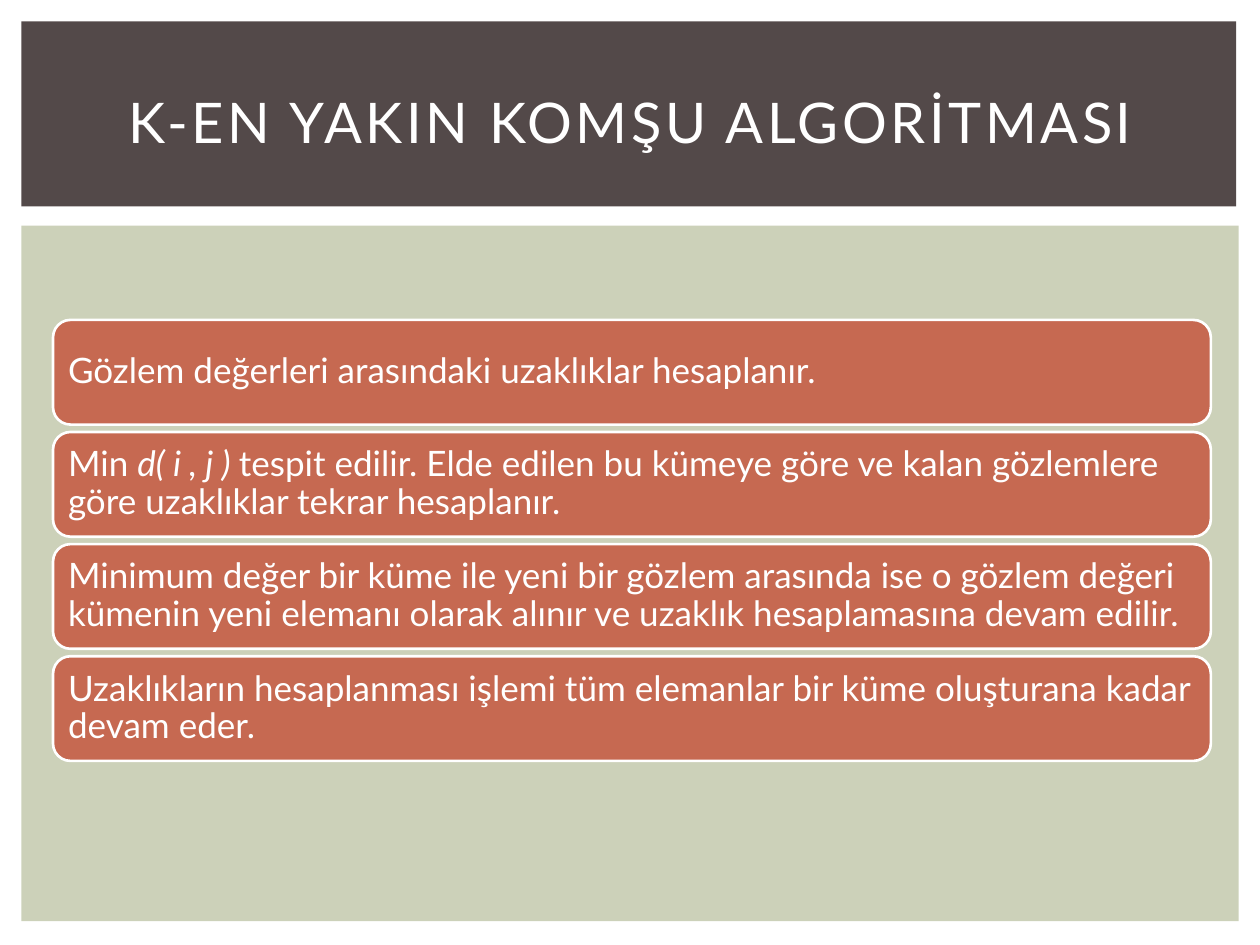
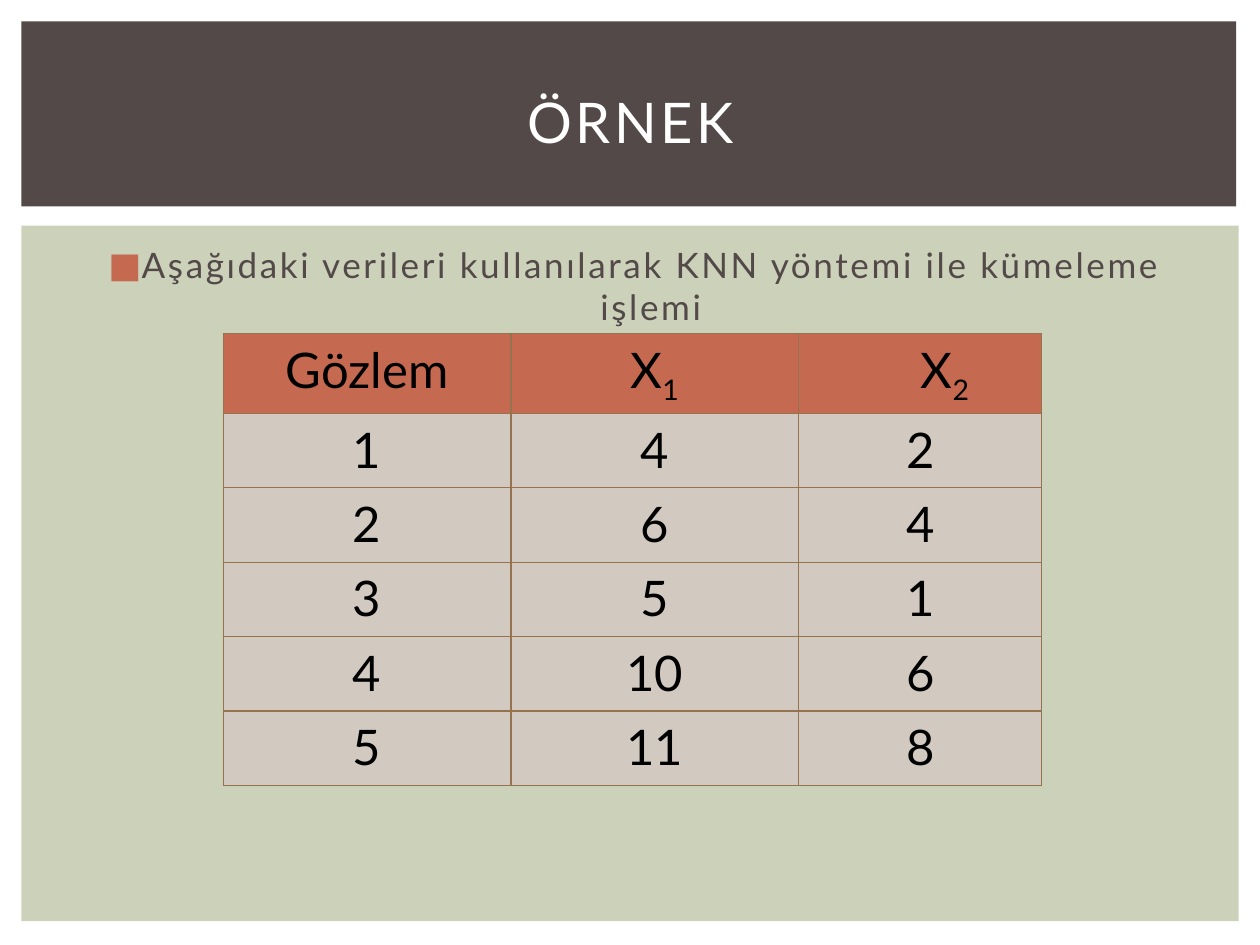
import pptx
import pptx.util
import pptx.dml.color
import pptx.enum.shapes
import pptx.enum.text
import pptx.oxml
import pptx.oxml.ns

Cm = pptx.util.Cm
Pt = pptx.util.Pt
SHAPE = pptx.enum.shapes.MSO_SHAPE
ALIGN = pptx.enum.text.PP_ALIGN
ANCHOR = pptx.enum.text.MSO_ANCHOR

FONT = "Lato"
COLORS = {
    "panel": "CCD1B9",
    "band": "534949",
    "accent": "C66951",
    "cell": "D2CAC0",
    "grid": "94734E",
    "white": "FFFFFF",
    "black": "000000",
}

STEPS = [
    [("Gözlem değerleri arasındaki uzaklıklar hesaplanır.", False)],
    [("Min ", False), ("d( i , j ) ", True),
     ("tespit edilir. Elde edilen bu kümeye göre ve kalan gözlemlere "
      "göre uzaklıklar tekrar hesaplanır.", False)],
    [("Minimum değer bir küme ile yeni bir gözlem arasında ise o gözlem "
      "değeri kümenin yeni elemanı olarak alınır ve uzaklık "
      "hesaplamasına devam edilir.", False)],
    [("Uzaklıkların hesaplanması işlemi tüm elemanlar bir küme "
      "oluşturana kadar devam eder.", False)],
]

HEADS = [("Gözlem", ""), ("X", "1"), ("X", "2")]
DATA = [(1, 4, 2), (2, 6, 4), (3, 5, 1), (4, 10, 6), (5, 11, 8)]


def color(name):
    return pptx.dml.color.RGBColor.from_string(COLORS[name])


def add_xml(parent, tag, body="", **attrs):
    """Append one DrawingML element to parent."""
    words = "".join(f' {key}="{val}"' for key, val in attrs.items())
    space = pptx.oxml.ns.nsdecls("a")
    parent.append(pptx.oxml.parse_xml(
        f"<a:{tag} {space}{words}>{body}</a:{tag}>"))


def add_run(para, text, size, tint, track=0, italic=False):
    run = para.add_run()
    run.text = text
    run.font.name = FONT
    run.font.size = Pt(size)
    run.font.color.rgb = color(tint)
    run.font.italic = italic
    if track:
        run.font._element.set("spc", str(round(track * 100)))
    return run


def add_block(slide, kind, box, fill, line=None):
    shape = slide.shapes.add_shape(kind, *map(Cm, box))
    shape.shadow.inherit = False
    shape.fill.solid()
    shape.fill.fore_color.rgb = color(fill)
    if line:
        shape.line.color.rgb = color(line)
        shape.line.width = Pt(1.5)
    else:
        shape.line.fill.background()
    return shape


def add_label(slide, box, text, size, tint, track, anchor):
    frame = slide.shapes.add_textbox(*map(Cm, box)).text_frame
    frame.word_wrap = True
    frame.vertical_anchor = anchor
    para = frame.paragraphs[0]
    para.alignment = ALIGN.CENTER
    add_run(para, text, size, tint, track)
    return para


def add_page(deck, title):
    """Add a blank slide with the shared panel, band and title."""
    slide = deck.slides.add_slide(deck.slide_layouts[6])
    add_block(slide, SHAPE.RECTANGLE, (0.43, 4.55, 24.54, 14.02), "panel")
    add_block(slide, SHAPE.RECTANGLE, (0.43, 0.43, 24.49, 3.73), "band")
    add_label(slide, (1.07, 0.99, 23.29, 2.92), title, 32, "white", 2,
              ANCHOR.MIDDLE)
    return slide


def add_card(slide, top, parts):
    card = add_block(slide, SHAPE.ROUNDED_RECTANGLE,
                     (1.07, top, 23.34, 2.11), "accent", "white")
    frame = card.text_frame
    frame.word_wrap = True
    frame.vertical_anchor = ANCHOR.MIDDLE
    frame.margin_left = frame.margin_right = Cm(0.2)
    frame.margin_top = frame.margin_bottom = Cm(0.2)
    para = frame.paragraphs[0]
    para.alignment = ALIGN.LEFT
    para.line_spacing = 0.9
    for text, italic in parts:
        add_run(para, text, 20, "white", italic=italic)


def add_bullet(para):
    para.space_before = Pt(4)
    props = para._p.get_or_add_pPr()
    props.set("marL", str(Cm(0.76)))
    props.set("indent", str(-Cm(0.64)))
    add_xml(props, "buClr", f'<a:srgbClr val="{COLORS["accent"]}"/>')
    add_xml(props, "buFont", typeface=FONT)
    add_xml(props, "buChar", char="■")


def fill_cell(cell, text, fill, sub=""):
    para = cell.text_frame.paragraphs[0]
    para.alignment = ALIGN.CENTER
    add_run(para, text, 28, "black")
    if sub:
        run = add_run(para, sub, 28, "black")
        run.font._element.set("baseline", "-25000")
    props = cell._tc.get_or_add_tcPr()
    tint = f'<a:solidFill><a:srgbClr val="{COLORS["grid"]}"/></a:solidFill>'
    for side in ("lnL", "lnR", "lnT", "lnB"):
        add_xml(props, side, tint, w=Pt(0.79))
    cell.fill.solid()
    cell.fill.fore_color.rgb = color(fill)


def add_grid(slide):
    widths = [5.8, 5.8, 4.9]
    heights = [1.6] + [1.5] * len(DATA)
    frame = slide.shapes.add_table(
        len(heights), len(widths), Cm(4.5), Cm(6.73),
        Cm(sum(widths)), Cm(sum(heights)))
    table = frame.table
    for col, width in zip(table.columns, widths):
        col.width = Cm(width)
    for row, height in zip(table.rows, heights):
        row.height = Cm(height)
    for c, (text, sub) in enumerate(HEADS):
        fill_cell(table.cell(0, c), text, "accent", sub)
    table.cell(0, 2).margin_left = Cm(1.25)
    for r, values in enumerate(DATA, 1):
        for c, value in enumerate(values):
            fill_cell(table.cell(r, c), str(value), "cell")


def main():
    deck = pptx.Presentation()
    deck.slide_width, deck.slide_height = Cm(25.4), Cm(19.05)

    slide = add_page(deck, "K-EN YAKIN KOMŞU ALGORİTMASI")
    for i, parts in enumerate(STEPS):
        add_card(slide, 6.45 + 2.26 * i, parts)

    slide = add_page(deck, "ÖRNEK")
    para = add_label(
        slide, (1.07, 4.78, 23.34, 12.24),
        "Aşağıdaki verileri kullanılarak KNN yöntemi ile kümeleme işlemi",
        20, "band", 1.5, ANCHOR.TOP)
    add_bullet(para)
    add_grid(slide)

    deck.save("out.pptx")


if __name__ == "__main__":
    main()
